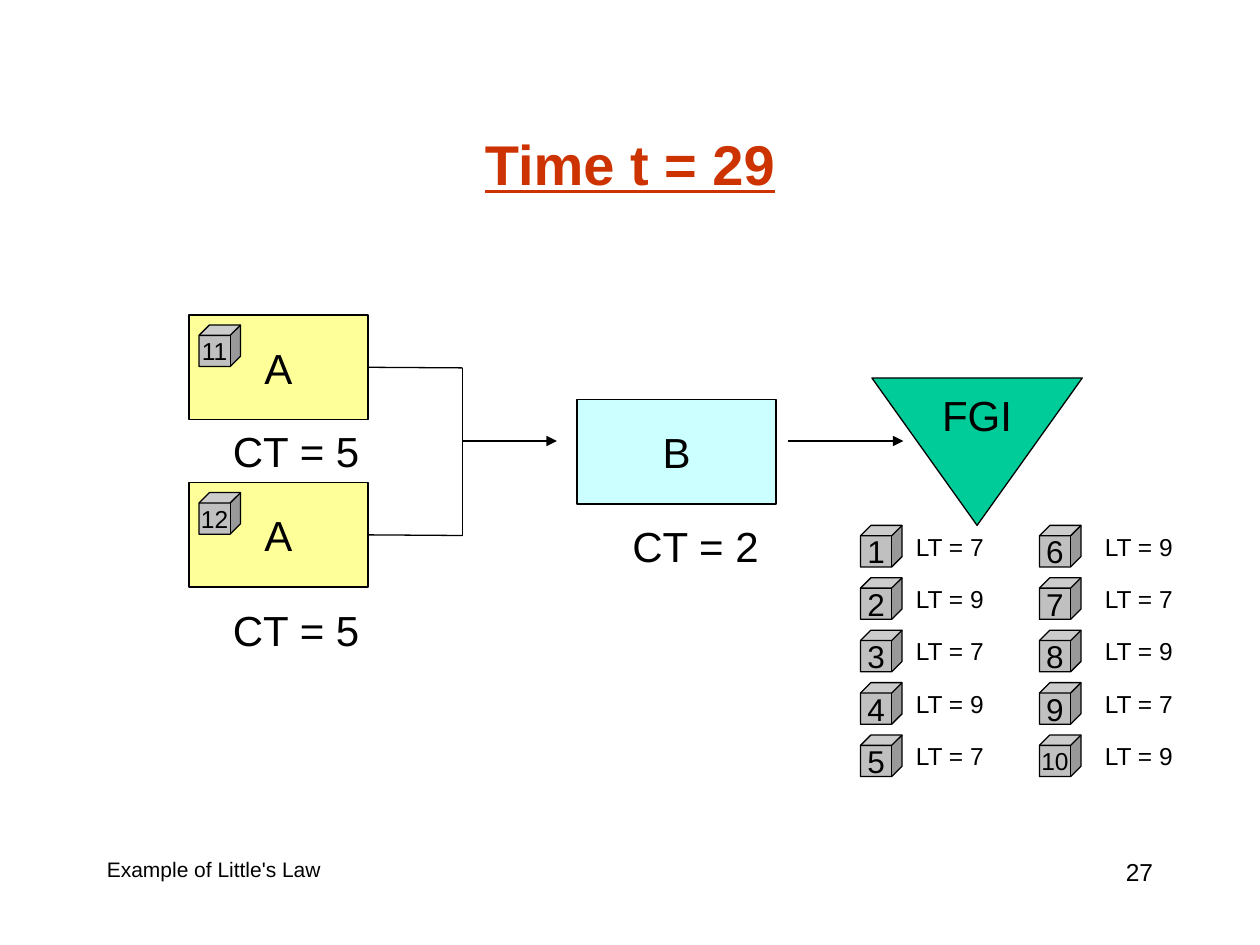
from dataclasses import dataclass

from lxml import etree
from pptx import Presentation
from pptx.dml.color import RGBColor
from pptx.enum.shapes import MSO_CONNECTOR, MSO_SHAPE
from pptx.enum.text import MSO_ANCHOR, MSO_AUTO_SIZE, PP_ALIGN
from pptx.oxml.ns import qn
from pptx.util import Inches, Pt

RECTANGLE, CUBE, MERGE = MSO_SHAPE.RECTANGLE, MSO_SHAPE.CUBE, MSO_SHAPE.FLOWCHART_MERGE
STRAIGHT = MSO_CONNECTOR.STRAIGHT
LEFT, CENTER, RIGHT = PP_ALIGN.LEFT, PP_ALIGN.CENTER, PP_ALIGN.RIGHT
MIDDLE = MSO_ANCHOR.MIDDLE
FIT_TEXT = MSO_AUTO_SIZE.SHAPE_TO_FIT_TEXT
TITLE_ONLY = 5
RIGHT_SIDE = 3


@dataclass(frozen=True)
class Theme:
    """Colours, font and sizes used on the slide."""
    font: str = "Arial"
    ink: RGBColor = RGBColor(0x00, 0x00, 0x00)
    title: RGBColor = RGBColor(0xCC, 0x33, 0x00)
    station_a: RGBColor = RGBColor(0xFF, 0xFF, 0x99)
    station_b: RGBColor = RGBColor(0xCC, 0xFF, 0xFF)
    inventory: RGBColor = RGBColor(0x00, 0xCC, 0x99)
    job: RGBColor = RGBColor(0xC0, 0xC0, 0xC0)
    title_size: Pt = Pt(32)
    station_size: Pt = Pt(24)
    digit_size: Pt = Pt(18)
    small_size: Pt = Pt(14)
    footer_size: Pt = Pt(12)
    line_width: Pt = Pt(0.75)


THEME = Theme()


def write_text(shape, text, size, alignment=LEFT, color=THEME.ink):
    """Write one formatted paragraph and return its font."""
    shape.text_frame.text = text
    paragraph = shape.text_frame.paragraphs[0]
    paragraph.alignment = alignment
    font = paragraph.runs[0].font
    font.name, font.size, font.color.rgb = THEME.font, size, color
    return font


def add_label(slide, box, text, size):
    """Add an unwrapped label that fits its text."""
    label = slide.shapes.add_textbox(*box)
    write_text(label, text, size)
    label.text_frame.word_wrap = False
    label.text_frame.auto_size = FIT_TEXT


def add_node(slide, kind, box, text, fill, size):
    """Add an outlined shape with centred text."""
    shape = slide.shapes.add_shape(kind, *box)
    shape.shadow.inherit = False
    shape.fill.solid()
    shape.fill.fore_color.rgb = fill
    shape.line.color.rgb = THEME.ink
    shape.line.width = THEME.line_width
    write_text(shape, text, size, CENTER)
    shape.text_frame.word_wrap = False
    shape.text_frame.vertical_anchor = MIDDLE
    return shape


def add_line(slide, start, end, arrow=False):
    """Add a straight line, with an arrowhead at its end if asked."""
    connector = slide.shapes.add_connector(STRAIGHT, *start, *end)
    connector.line.color.rgb = THEME.ink
    connector.line.width = THEME.line_width
    if arrow:
        etree.SubElement(connector.line._get_or_add_ln(), qn("a:tailEnd"), type="triangle")
    etree.SubElement(connector._element.spPr, qn("a:effectLst"))
    return connector


def add_job(slide, left, top, number):
    """Add a numbered cube for one job."""
    size = THEME.digit_size if number < 10 else THEME.small_size
    box = left, top, Inches(0.33), Inches(0.33)
    add_node(slide, CUBE, box, str(number), THEME.job, size)


def add_station(slide, box, name, fill, cycle_time, label_left, label_top, job=None):
    """Add a station with its cycle time and the job it holds."""
    station = add_node(slide, RECTANGLE, box, name, fill, THEME.station_size)
    label_box = label_left, label_top, Inches(1.21), Inches(0.5)
    add_label(slide, label_box, f"CT = {cycle_time}", THEME.station_size)
    if job is not None:
        add_job(slide, box[0] + Inches(0.08), box[1] + Inches(0.08), job)
    return station


def add_merge_lines(slide, box, stations):
    """Join the parallel stations into one arrow within the box."""
    left, top, width, height = box
    middle = left + width // 2
    arrow_top = Inches(3.5)
    for station, y in zip(stations, (top, top + height)):
        connector = add_line(slide, (left, y), (middle, y))
        connector.begin_connect(station, RIGHT_SIDE)
    add_line(slide, (middle, top), (middle, top + height))
    add_line(slide, (middle, arrow_top), (left + width, arrow_top), arrow=True)


def add_finished_jobs(slide, box, lead_times, rows=5):
    """Fill the box column by column with jobs and their lead times."""
    left, top, width, height = box
    label_offsets = Inches(0.34), Inches(0.42)
    for index, lead_time in enumerate(lead_times):
        column, row = divmod(index, rows)
        x = left + column * width // 2
        y = top + row * height // rows
        add_job(slide, x, y, index + 1)
        label_box = x + label_offsets[column], y, Inches(0.74), Inches(0.34)
        add_label(slide, label_box, f"LT = {lead_time}", THEME.small_size)


def add_title(slide, box, text):
    """Place and format the title placeholder."""
    title = slide.shapes.title
    title.left, title.top, title.width, title.height = box
    font = write_text(title, text, THEME.title_size, CENTER, THEME.title)
    font.bold = font.underline = True
    title.text_frame.vertical_anchor = MIDDLE


def add_footer(slide, box, text, page):
    """Add the footer text at the left and the page number at the right."""
    left, top, width, height = box
    number_width = Inches(2.08)
    footer = slide.shapes.add_textbox(left, top, Inches(3.17), height)
    number = slide.shapes.add_textbox(left + width - number_width, top, number_width, height)
    write_text(footer, text, THEME.footer_size)
    write_text(number, page, THEME.small_size, RIGHT)
    for shape in (footer, number):
        shape.text_frame.word_wrap = True


def add_process(slide):
    """Add the flow from the A stations through B to finished goods."""
    a_stations = [
        add_station(slide, (Inches(1.5), Inches(top), Inches(1.42), Inches(0.83)), "A",
                    THEME.station_a, 5, Inches(1.75), Inches(label_top), job)
        for top, label_top, job in ((2.5, 3.33, 11), (3.83, 4.75, 12))
    ]
    add_station(slide, (Inches(4.58), Inches(3.17), Inches(1.58), Inches(0.83)), "B",
                THEME.station_b, 2, Inches(4.92), Inches(4.08))
    add_node(slide, MERGE, (Inches(6.92), Inches(3), Inches(1.67), Inches(1.17)), "FGI",
             THEME.inventory, THEME.station_size)
    add_merge_lines(slide, (Inches(2.92), Inches(2.92), Inches(1.5), Inches(1.33)), a_stations)
    add_line(slide, (Inches(6.25), Inches(3.5)), (Inches(7.17), Inches(3.5)), arrow=True)


def main():
    """Build and save the slide."""
    presentation = Presentation()
    presentation.slide_width, presentation.slide_height = Inches(10), Inches(7.5)
    slide = presentation.slides.add_slide(presentation.slide_layouts[TITLE_ONLY])
    add_title(slide, (Inches(0.75), Inches(0.67), Inches(8.5), Inches(1.25)), "Time t = 29")
    add_process(slide)
    add_finished_jobs(slide, (Inches(6.83), Inches(4.17), Inches(2.84), Inches(2.08)),
                      (7, 9, 7, 9, 7, 9, 7, 9, 7, 9))
    add_footer(slide, (Inches(0.75), Inches(6.75), Inches(8.5), Inches(0.5)),
               "Example of Little's Law", "27")
    presentation.save("out.pptx")


if __name__ == "__main__":
    main()
